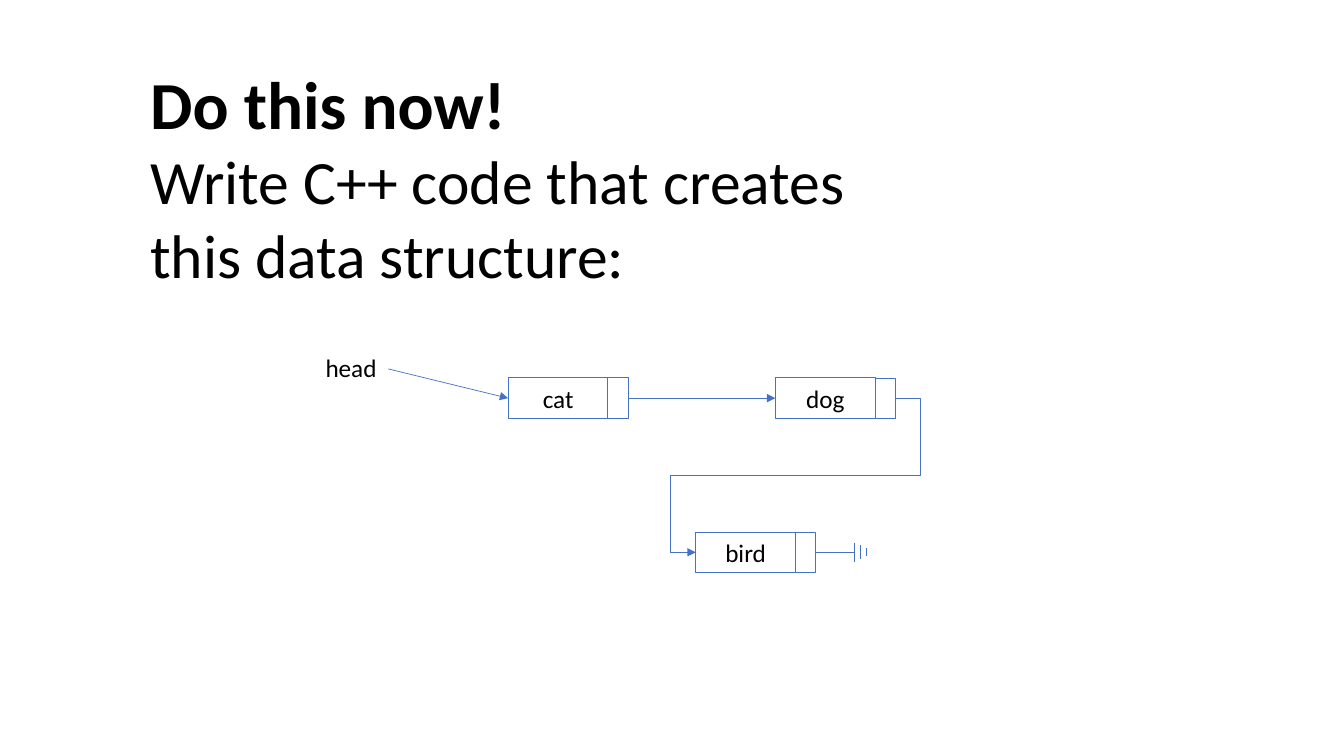
from pptx import Presentation
from pptx.dml.color import RGBColor
from pptx.enum.shapes import MSO_CONNECTOR as CONN, MSO_SHAPE as SHAPE
from pptx.enum.text import MSO_ANCHOR as ANCHOR, MSO_AUTO_SIZE as AUTO, PP_ALIGN as ALIGN
from pptx.oxml.ns import qn
from pptx.util import Inches, Pt
from lxml.etree import SubElement

BLACK = RGBColor(0x00, 0x00, 0x00)
BLUE = RGBColor(0x44, 0x72, 0xC4)
FONT = "Calibri"

# Grid of 0.1 inch cells
CELL = Inches(0.1)
DATA_W, LINK_W, NODE_H = 9.9, 2, 4
TOP_ROW, BOTTOM_ROW = 37.5, 52.8
LEFT_SITE, RIGHT_SITE = 1, 3


def grid(*cells):
    return [round(c * CELL) for c in cells]


def add_run(p, text, size, bold=False):
    r = p.add_run()
    r.text = text
    r.font.name, r.font.size, r.font.bold = FONT, Pt(size), bold
    r.font.color.rgb = BLACK


def add_title(s, col, row, w, h):
    sp = s.shapes.title
    sp.left, sp.top, sp.width, sp.height = grid(col, row, w, h)
    tf = sp.text_frame
    tf.word_wrap, tf.auto_size = False, AUTO.NONE
    tf.vertical_anchor = ANCHOR.TOP
    p = tf.paragraphs[0]
    p.alignment, p.line_spacing = ALIGN.LEFT, 1.0
    add_run(p, "Do this now! ", 48, bold=True)
    for line in ("Write C++ code that creates ", "this data structure:"):
        p.add_line_break()
        add_run(p, line, 44)


def add_label(s, text, col, row, w, h):
    sp = s.shapes.add_textbox(*grid(col, row, w, h))
    sp.text_frame.word_wrap = False
    add_run(sp.text_frame.paragraphs[0], text, 18)


def add_box(s, col, row, w, weight):
    sp = s.shapes.add_shape(SHAPE.RECTANGLE, *grid(col, row, w, NODE_H))
    sp.shadow.inherit = False
    sp.fill.background()
    sp.line.color.rgb, sp.line.width = BLUE, Pt(weight)
    return sp


def add_node(s, text, col, row, link_weight=0.5):
    """Return the data box and the pointer box of a list node."""
    data = add_box(s, col, row, DATA_W, 0.75)
    tf = data.text_frame
    tf.vertical_anchor = ANCHOR.MIDDLE
    p = tf.paragraphs[0]
    p.alignment = ALIGN.CENTER
    add_run(p, text, 18)
    return data, add_box(s, col + DATA_W, row, LINK_W, link_weight)


def add_line(s, x1, y1, x2, y2, kind=CONN.STRAIGHT, start=None, end=None):
    """Draw a line; start and end boxes are glued, and an end box gets an arrow."""
    c = s.shapes.add_connector(kind, *grid(x1, y1, x2, y2))
    if start is not None:
        c.begin_connect(start, RIGHT_SITE)
    if end is not None:
        c.end_connect(end, LEFT_SITE)
    c.line.color.rgb, c.line.width = BLUE, Pt(0.5)
    if end is not None:
        SubElement(c.line._get_or_add_ln(), qn("a:tailEnd"), type="triangle")
    SubElement(c._element.spPr, qn("a:effectLst"))
    return c


def bend_back(c, *shares):
    """Route an elbow with five segments, turning at the given shares."""
    geom = c._element.spPr.find(qn("a:prstGeom"))
    geom.set("prst", "bentConnector5")
    av = geom.find(qn("a:avLst"))
    for i, share in enumerate(shares, 1):
        SubElement(av, qn("a:gd"), name=f"adj{i}", fmla=f"val {round(share * 100000)}")


def add_null(s, col, mid, link):
    """Draw the ground symbol that ends the list."""
    add_line(s, col - 3.8, mid, col, mid, start=link)
    for i, half in enumerate((0.95, 0.7, 0.4)):
        x = col + i * 0.6
        add_line(s, x, mid - half, x, mid + half)


def main():
    prs = Presentation()
    prs.slide_width, prs.slide_height = Inches(13.33), Inches(7.5)
    s = prs.slides.add_slide(prs.slide_layouts[5])
    add_title(s, 13.9, 5.7, 73, 23.9)

    # List nodes
    cat, cat_link = add_node(s, "cat", 50.4, TOP_ROW, 0.75)
    dog, dog_link = add_node(s, "dog", 76.9, TOP_ROW)
    bird, bird_link = add_node(s, "bird", 69, BOTTOM_ROW)
    add_label(s, "head", 31.3, 34.5, 7.2, 4)

    # Pointers
    top_mid, bottom_mid = TOP_ROW + NODE_H / 2, BOTTOM_ROW + NODE_H / 2
    add_line(s, 38.5, 36.6, 50.4, top_mid, end=cat)
    add_line(s, 62.3, top_mid, 76.9, top_mid, start=cat_link, end=dog)
    back = add_line(s, 88.8, top_mid, 69, bottom_mid, CONN.ELBOW, dog_link, bird)
    overshoot = 2.5 / (88.8 - 69)
    bend_back(back, -overshoot, 0.5, 1 + overshoot)
    add_null(s, 84.7, bottom_mid, bird_link)

    prs.save("out.pptx")


main()
